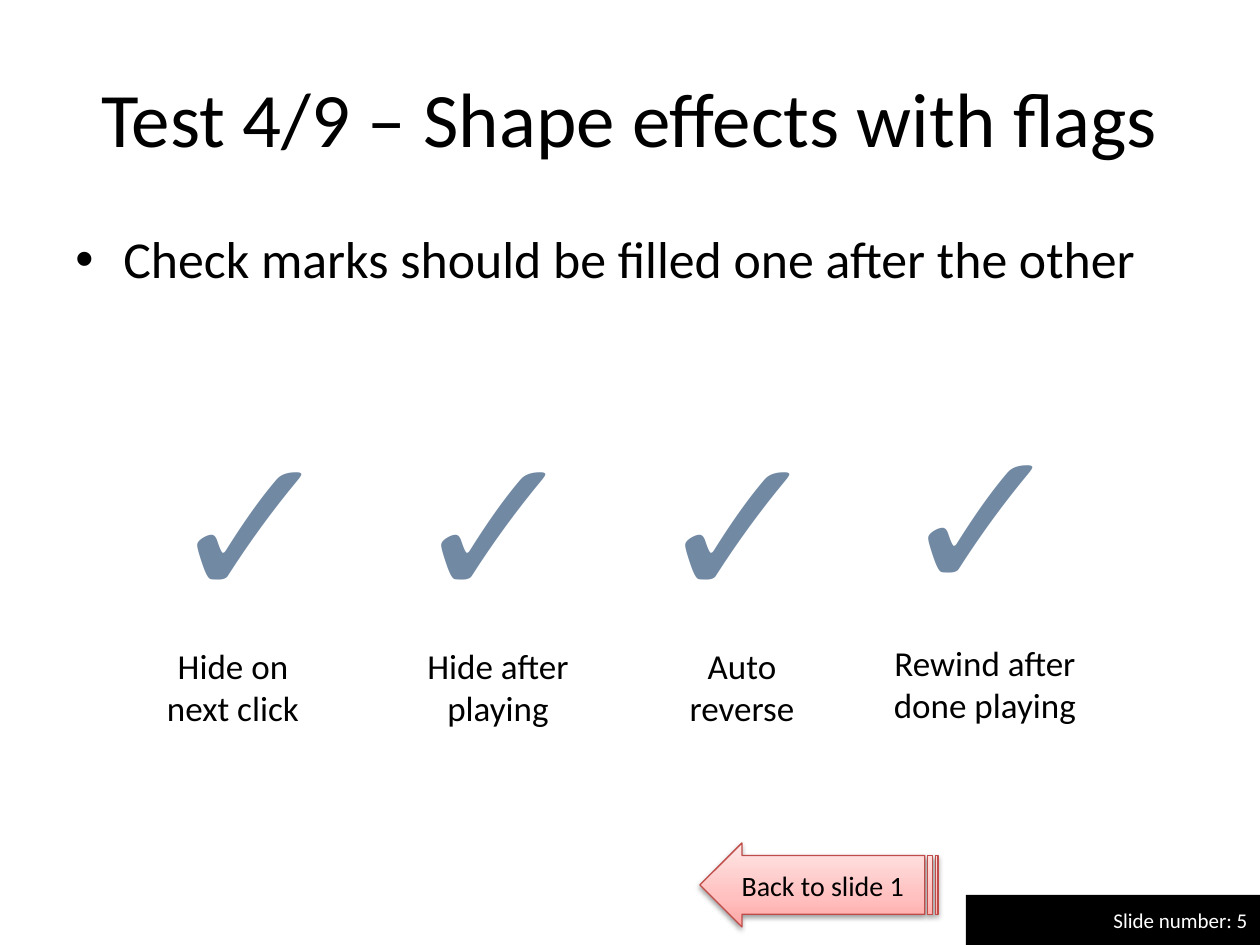
from lxml import etree
from pptx import Presentation
from pptx.dml.color import RGBColor
from pptx.enum.shapes import MSO_SHAPE as Preset
from pptx.enum.text import MSO_ANCHOR as Anchor, PP_ALIGN as Align
from pptx.oxml import parse_xml
from pptx.oxml.ns import nsdecls, qn
from pptx.util import Emu, Pt

PX = 914400 // 126
FONT = "Calibri"
BLACK = RGBColor(0x00, 0x00, 0x00)
WHITE = RGBColor(0xFF, 0xFF, 0xFF)
SLATE = RGBColor(0x71, 0x89, 0xA3)
ARROW_EDGE = RGBColor(0xBF, 0x4C, 0x48)
ARROW_STOPS = [
    (0, RGBColor(0xFF, 0xA6, 0xA5)),
    (35, RGBColor(0xFF, 0xC0, 0xBF)),
    (100, RGBColor(0xFF, 0xE7, 0xE7)),
]

# Mark left and top, label left, top and width, label lines
FLAGS = [
    ((155, 392), (134, 638, 198), ("Hide on", "next click")),
    ((399, 392), (399, 638, 198), ("Hide after", "playing")),
    ((643, 392), (643, 638, 198), ("Auto", "reverse")),
    ((886, 385), (824, 635, 322), ("Rewind after", "done playing")),
]


def px(*lengths):
    return [Emu(length * PX) for length in lengths]


def write(frame, lines, size, color, align=Align.LEFT, anchor=Anchor.TOP, bold=False):
    frame.word_wrap = True
    frame.vertical_anchor = anchor
    for index, line in enumerate(lines):
        paragraph = frame.paragraphs[0] if index == 0 else frame.add_paragraph()
        paragraph.alignment = align
        run = paragraph.add_run()
        run.text = line
        run.font.name = FONT
        run.font.size = Pt(size)
        run.font.bold = bold
        run.font.color.rgb = color


def add_text(slide, box, lines, size, color=BLACK, **style):
    frame = slide.shapes.add_textbox(*px(*box)).text_frame
    write(frame, lines, size, color, **style)
    return frame


def add_bullet(paragraph, indent):
    properties = paragraph._p.get_or_add_pPr()
    properties.set("marL", str(indent * PX))
    properties.set("indent", str(-indent * PX))
    properties.append(parse_xml(f'<a:buFont {nsdecls("a")} typeface="Arial"/>'))
    properties.append(parse_xml(f'<a:buChar {nsdecls("a")} char="•"/>'))


def add_panel(slide, box, fill, text, size, color, align):
    panel = slide.shapes.add_shape(Preset.RECTANGLE, *px(*box))
    panel.shadow.inherit = False
    panel.fill.solid()
    panel.fill.fore_color.rgb = fill
    panel.line.fill.background()
    write(panel.text_frame, [text], size, color, align=align, anchor=Anchor.MIDDLE)


def set_gradient(shape, stops, degrees):
    shape.fill.gradient()
    gradient = shape._element.spPr.find(qn("a:gradFill"))
    stop_list = gradient.find(qn("a:gsLst"))
    for stop in list(stop_list):
        stop_list.remove(stop)
    for percent, color in stops:
        stop = etree.SubElement(stop_list, qn("a:gs"), pos=str(percent * 1000))
        etree.SubElement(stop, qn("a:srgbClr"), val=str(color))
    gradient.find(qn("a:lin")).set("ang", str(degrees * 60000))


def set_shadow(shape):
    shape.shadow.inherit = False
    effects = shape._element.spPr.find(qn("a:effectLst"))
    effects.append(parse_xml(
        f'<a:outerShdw {nsdecls("a")} blurRad="{Pt(3.1)}" dist="{Pt(1.6)}" '
        'dir="5400000" rotWithShape="0"><a:srgbClr val="000000">'
        '<a:alpha val="38000"/></a:srgbClr></a:outerShdw>'))


def add_back_arrow(slide):
    arrow = slide.shapes.add_shape(Preset.STRIPED_RIGHT_ARROW, *px(700, 843, 238, 84))
    arrow._element.spPr.find(qn("a:xfrm")).set("flipH", "1")
    arrow.adjustments[0] = 0.7
    arrow.adjustments[1] = 0.5
    set_gradient(arrow, ARROW_STOPS, 270)
    arrow.line.color.rgb = ARROW_EDGE
    arrow.line.width = Pt(0.75)
    set_shadow(arrow)
    write(arrow.text_frame, ["Back to slide 1"], 16, BLACK, anchor=Anchor.MIDDLE)


def main():
    deck = Presentation()
    deck.slide_width, deck.slide_height = px(1260, 945)
    slide = deck.slides.add_slide(deck.slide_layouts[6])

    add_panel(slide, (63, 38, 1134, 158), WHITE,
              "Test 4/9 – Shape effects with flags", 44, BLACK, Align.CENTER)
    instruction = add_text(slide, (63, 221, 1134, 103),
                           ["Check marks should be filled one after the other"], 29.6)
    add_bullet(instruction.paragraphs[0], 48)
    add_panel(slide, (966, 895, 294, 50), BLACK,
              "Slide number: 5", 12, WHITE, Align.RIGHT)
    for mark_corner, (left, top, width), label in FLAGS:
        add_text(slide, (*mark_corner, 218, 257), ["✓"], 115, SLATE, bold=True)
        add_text(slide, (left, top, width, 97), label, 20, align=Align.CENTER)
    add_back_arrow(slide)

    deck.save("out.pptx")


if __name__ == "__main__":
    main()
